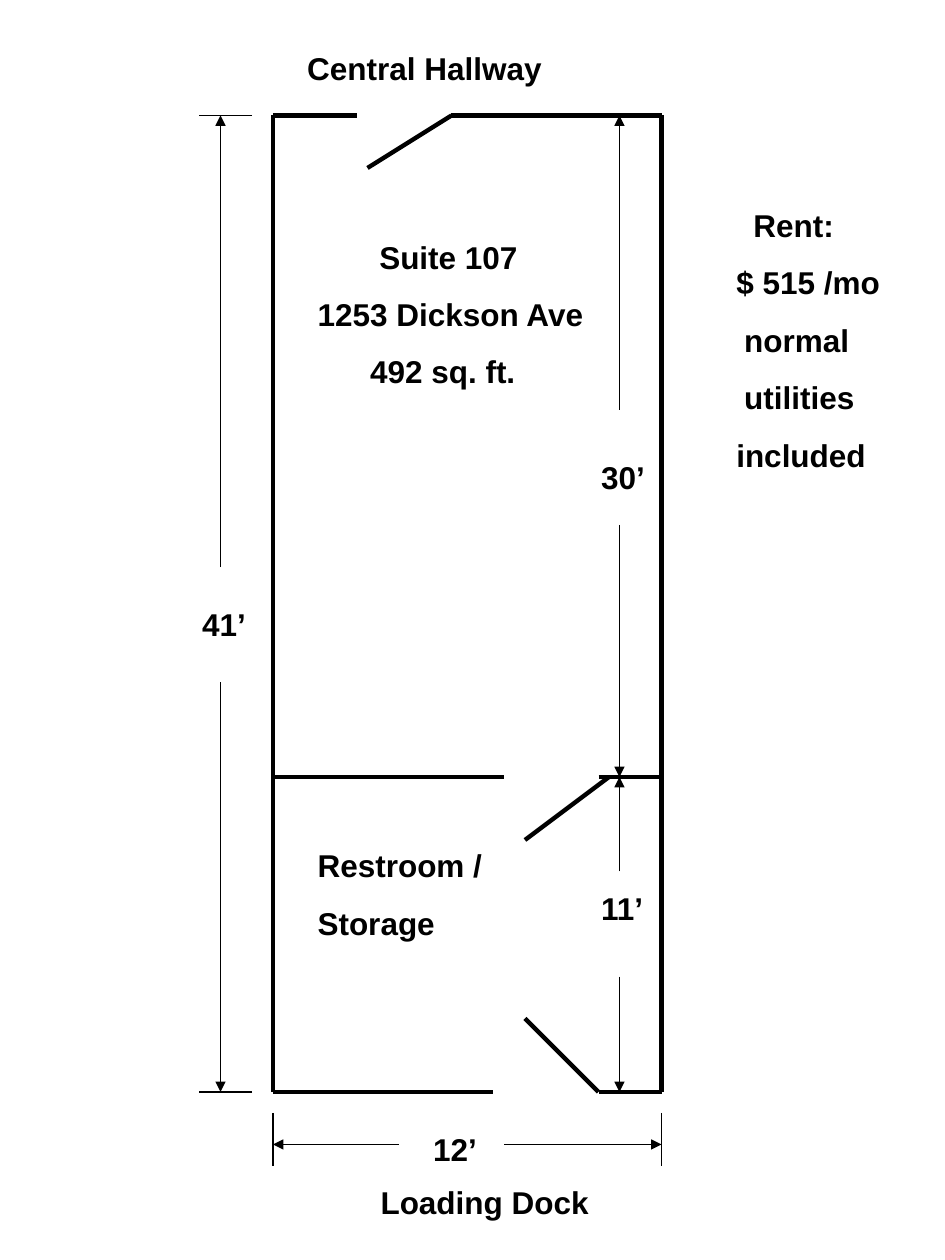
from lxml import etree
from pptx import Presentation
from pptx.dml.color import RGBColor
from pptx.enum.shapes import MSO_CONNECTOR
from pptx.enum.text import MSO_AUTO_SIZE
from pptx.oxml.ns import qn
from pptx.util import Pt

STRAIGHT = MSO_CONNECTOR.STRAIGHT
GROW = MSO_AUTO_SIZE.SHAPE_TO_FIT_TEXT
PX = 9525
BLACK = "000000"
WALL, DIMENSION = 2.5, 0.75
FONT = {"name": "Arial", "size": Pt(18), "bold": True}
FRAME = {"word_wrap": True, "auto_size": GROW, "margin_left": 10 * PX,
         "margin_right": 10 * PX, "margin_top": 5 * PX, "margin_bottom": 5 * PX}


def color(value):
    """Turn a hex string into a colour."""
    return RGBColor.from_string(value)


def set_all(target, values):
    """Set each attribute of target from a dict."""
    for name, value in values.items():
        setattr(target, name, value)


def add_line(s, box, start, end, weight, arrow=False):
    """Draw a line between two points of a box, with an optional arrow at its end."""
    x, y = box[:2]
    points = (x + start[0], y + start[1], x + end[0], y + end[1])
    line = s.shapes.add_connector(STRAIGHT, *(v * PX for v in points))
    line.line.width = Pt(weight)
    line.line.color.rgb = color(BLACK)
    if arrow:
        etree.SubElement(line.line._get_or_add_ln(), qn("a:tailEnd"), type="triangle")
    etree.SubElement(line._element.spPr, qn("a:effectLst"))


def add_text(s, box, at, lines):
    """Write (indent, text) lines at an offset and size within a box."""
    left, top, width, height = at
    area = (box[0] + left, box[1] + top, width, height)
    tf = s.shapes.add_textbox(*(v * PX for v in area)).text_frame
    set_all(tf, FRAME)
    for i, (indent, text) in enumerate(lines):
        p = tf.paragraphs[0] if i == 0 else tf.add_paragraph()
        p.space_before = Pt(11.2)
        if indent:
            p._p.get_or_add_pPr().set("marL", str(indent * PX))
        r = p.add_run()
        r.text = text
        set_all(r.font, FONT)
        r.font.color.rgb = color(BLACK)


def add_dimension(s, box, ends, gap, label, at):
    """Draw two arrows out of a gap to the ends of a span, with a label."""
    for start, end in zip(gap, ends):
        add_line(s, box, start, end, DIMENSION, True)
    add_text(s, box, at, [(0, label)])


def add_room(s, box, walls, doors, at, lines):
    """Draw a room's side walls, cross walls and doors, and write its name."""
    width, height = box[2:]
    for x in (0, width):
        add_line(s, box, (x, 0), (x, height), WALL)
    for y, left, right in walls:
        add_line(s, box, (left, y), (right, y), WALL)
    for start, end in doors:
        add_line(s, box, start, end, WALL)
    add_text(s, box, at, lines)


def add_outer_dimensions(s, box):
    """Mark the total depth at the left of a box and its width below."""
    width, height = box[2:]
    for y in (0, height):
        add_line(s, box, (-16, y), (-56, y), DIMENSION)
    for x in (0, width):
        add_line(s, box, (x, height + 16), (x, height + 56), DIMENSION)
    add_dimension(s, box, ((-40, 0), (-40, height)), ((-40, 344), (-40, 432)),
                  "41’", (-64, 368, 64, 38))
    y = height + 40
    add_dimension(s, box, ((0, y), (width, y)), ((96, y), (176, y)),
                  "12’", (112, height + 24, 88, 38))


def add_surroundings(s, box):
    """Name what lies around a box and give the rent beside it."""
    width, height = box[2:]
    add_text(s, box, (16, -56, 368, 38), [(0, "Central Hallway")])
    add_text(s, box, (72, height + 64, 384, 38), [(0, "Loading Dock")])
    add_text(s, box, (width + 40, 64, 256, 214),
             [(20, "Rent:"), (7, "$ 515 /mo"), (13, "normal"),
              (13, "utilities"), (7, "included")])


def main():
    """Build the floor plan slide."""
    prs = Presentation()
    prs.slide_width, prs.slide_height = 720 * PX, 960 * PX
    s = prs.slides.add_slide(prs.slide_layouts[6])
    plan = (208, 88, 296, 744)
    suite = (208, 88, 296, 504)
    storage = (208, 592, 296, 240)
    add_room(s, suite, [(0, 0, 64), (0, 136, 296), (504, 0, 176), (504, 248, 296)],
             [((136, 0), (72, 40))], (24, 88, 240, 127),
             [(47, "Suite 107"), (0, "1253 Dickson Ave"), (40, "492 sq. ft.")])
    add_room(s, storage, [(240, 0, 168), (240, 248, 296)],
             [((192, 48), (256, 0)), ((192, 184), (248, 240))], (24, 48, 152, 83),
             [(0, "Restroom /"), (0, "Storage")])
    add_dimension(s, suite, ((264, 0), (264, 504)), ((264, 224), (264, 312)),
                  "30’", (240, 256, 64, 38))
    add_dimension(s, storage, ((264, 0), (264, 240)), ((264, 72), (264, 152)),
                  "11’", (240, 80, 64, 38))
    add_outer_dimensions(s, plan)
    add_surroundings(s, plan)
    prs.save("out.pptx")


if __name__ == "__main__":
    main()
